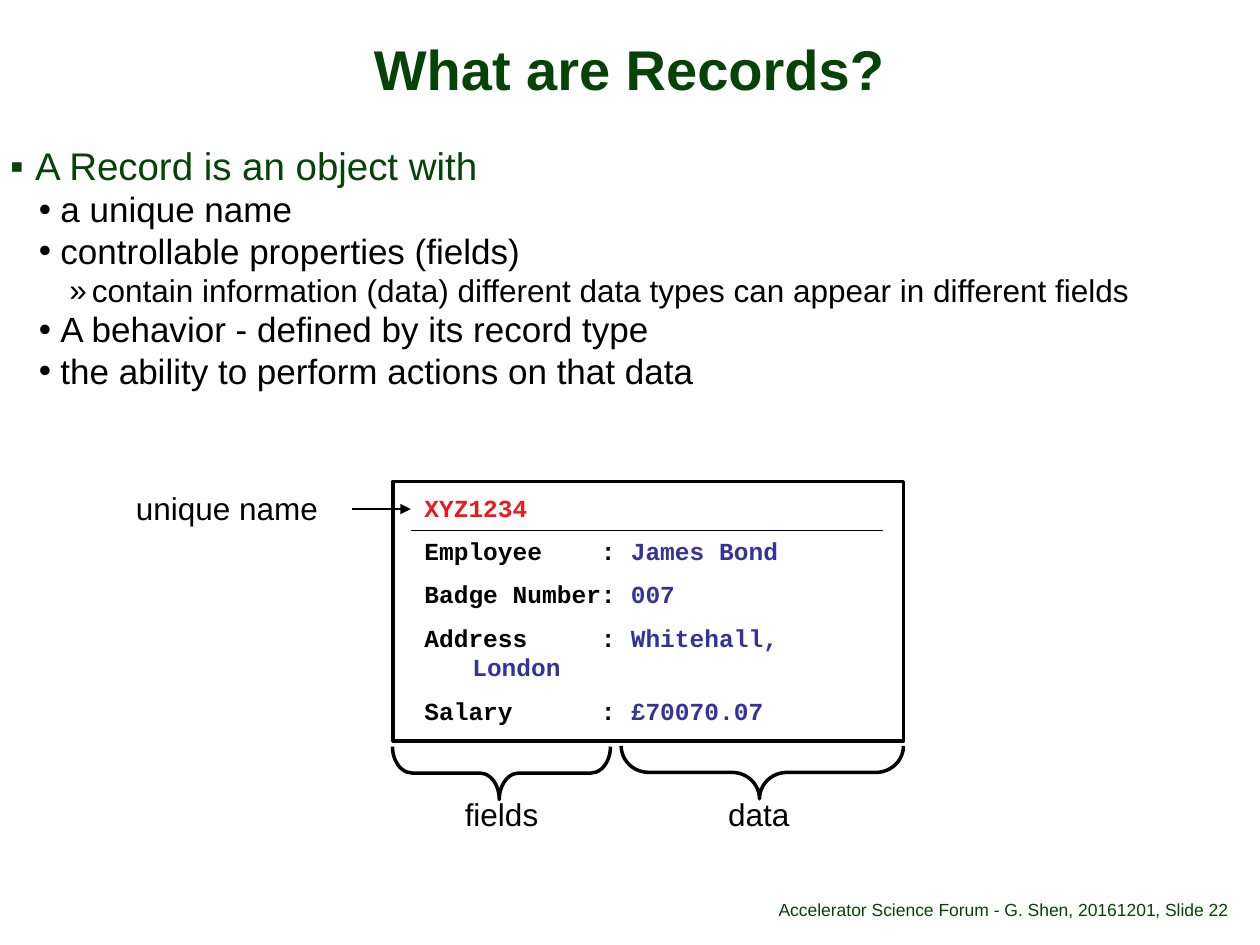
from lxml.etree import SubElement
from pptx import Presentation
from pptx.dml.color import RGBColor
from pptx.enum.shapes import MSO_CONNECTOR, MSO_SHAPE
from pptx.enum.text import MSO_ANCHOR, MSO_AUTO_SIZE, PP_ALIGN
from pptx.oxml.ns import qn
from pptx.util import Inches, Pt

GREEN = RGBColor(0x06, 0x43, 0x08)
BLACK = RGBColor(0x00, 0x00, 0x00)
RED = RGBColor(0xED, 0x18, 0x1E)
BLUE = RGBColor(0x33, 0x33, 0x99)


def add_text_frame(left, top, width, height, inset_x=0.1, inset_y=0.05, wrap=True):
    frame = slide.shapes.add_textbox(
        Inches(left), Inches(top), Inches(width), Inches(height)).text_frame
    frame.word_wrap = wrap
    frame.margin_left = frame.margin_right = Inches(inset_x)
    frame.margin_top = frame.margin_bottom = Inches(inset_y)
    return frame


def set_font(paragraph, size, color=None, name="Arial", bold=False):
    paragraph.font.size = Pt(size)
    paragraph.font.name = name
    paragraph.font.bold = bold
    if color is not None:
        paragraph.font.color.rgb = color


prs = Presentation()
prs.slide_width, prs.slide_height = Inches(10), Inches(7.5)
slide = prs.slides.add_slide(prs.slide_layouts[5])

# Title
title = slide.shapes.title
title.left, title.top = Inches(0.08), Inches(0.31)
title.width, title.height = Inches(9.83), Inches(0.53)
heading = title.text_frame
heading.text = "What are Records?"
heading.vertical_anchor = MSO_ANCHOR.MIDDLE
heading.margin_left = heading.margin_right = Inches(0.06)
heading.margin_top = heading.margin_bottom = Inches(0.02)
heading.paragraphs[0].alignment = PP_ALIGN.CENTER
heading.paragraphs[0].line_spacing = 0.88
set_font(heading.paragraphs[0], 32, GREEN, bold=True)

# Bulleted outline
# level: bullet, left margin, hanging indent, size, colour
LEVELS = [
    ("▪", 0.2, 0.2, 22, GREEN),
    ("•", 0.4, 0.17, 20, BLACK),
    ("»", 0.65, 0.18, 18, BLACK),
]
OUTLINE = [
    (0, "A Record is an object with"),
    (1, "a unique name"),
    (1, "controllable properties (fields)"),
    (2, "contain information (data) different data types can appear in different fields"),
    (1, "A behavior - defined by its record type"),
    (1, "the ability to perform actions on that data"),
]
outline = add_text_frame(0.08, 1.17, 9.83, 5.5, 0, 0)
for i, (level, text) in enumerate(OUTLINE):
    bullet, margin, hanging, size, color = LEVELS[level]
    point = outline.add_paragraph() if i else outline.paragraphs[0]
    point.text = text
    point.level = level
    point.line_spacing = 0.9
    if i:
        point.space_before = Pt(2)
    props = point._p.get_or_add_pPr()
    props.set("marL", str(Inches(margin)))
    props.set("indent", str(-Inches(hanging)))
    SubElement(props, qn("a:buFont")).set("typeface", "Arial")
    SubElement(props, qn("a:buChar")).set("char", bullet)
    set_font(point, size, color)

# Footer
for left, width, text, align in [
    (4.53, 4.64, "Accelerator Science Forum - G. Shen, 20161201", PP_ALIGN.RIGHT),
    (9.17, 0.83, ", Slide 22", PP_ALIGN.LEFT),
]:
    footer = add_text_frame(left, 6.95, width, 0.4, 0)
    footer.vertical_anchor = MSO_ANCHOR.BOTTOM
    footer.text = text
    footer.paragraphs[0].alignment = align
    footer.paragraphs[0].line_spacing = 0.9
    set_font(footer.paragraphs[0], 10, GREEN)

# Record contents, with the field names padded to one column
NAME_WIDTH = 12
FIELDS = [
    ("Employee", "James Bond"),
    ("Badge Number", "007"),
    ("Address", "Whitehall, London"),
    ("Salary", "£70070.07"),
]
rows = [[("XYZ1234", RED)]]
rows += [[(f"{field:<{NAME_WIDTH}}: ", BLACK), (data, BLUE)] for field, data in FIELDS]
record = add_text_frame(3.27, 3.86, 3.81, 1.82)
for i, row in enumerate(rows):
    entry = record.add_paragraph() if i else record.paragraphs[0]
    entry.space_after = Pt(1.4)
    if i:
        entry.space_before = Pt(6.6)
    props = entry._p.get_or_add_pPr()
    props.set("marL", str(Inches(0.38)))
    props.set("indent", str(-Inches(0.38)))
    set_font(entry, 14, name="Courier New", bold=True)
    for text, color in row:
        run = entry.add_run()
        run.text = text
        run.font.color.rgb = color

# Labels around the record
for left, top, width, text in [
    (0.98, 3.83, 1.66, "unique name"),
    (3.59, 6.26, 0.82, "fields"),
    (5.68, 6.26, 0.72, "data"),
]:
    label = add_text_frame(left, top, width, 0.4, wrap=False)
    label.auto_size = MSO_AUTO_SIZE.SHAPE_TO_FIT_TEXT
    label.text = text
    set_font(label.paragraphs[0], 18, BLACK)

# Divider under the record name, and arrow to it
for start, end, y, weight, has_arrow in [
    (3.26, 7.01, 4.21, 0.75, False),
    (2.79, 3.26, 4.04, 1.5, True),
]:
    line = slide.shapes.add_connector(
        MSO_CONNECTOR.STRAIGHT, Inches(start), Inches(y), Inches(end), Inches(y))
    line.line.color.rgb = BLACK
    line.line.width = Pt(weight)
    if has_arrow:
        SubElement(line.line._get_or_add_ln(), qn("a:tailEnd")).set("type", "triangle")
    SubElement(line._element.spPr, qn("a:effectLst"))

# Record frame, and braces turned to point down at their labels
frame_and_braces = [
    (MSO_SHAPE.RECTANGLE, 3.12, 3.82, 4.05, 2.06, 0, []),
    (MSO_SHAPE.RIGHT_BRACE, 5.84, 5.01, 0.42, 2.24, 90, [0.52, 0.51]),
    (MSO_SHAPE.RIGHT_BRACE, 3.77, 5.27, 0.42, 1.73, 90, [0.37, 0.51]),
]
for kind, left, top, width, height, rotation, adjustments in frame_and_braces:
    outlined = slide.shapes.add_shape(
        kind, Inches(left), Inches(top), Inches(width), Inches(height))
    outlined.rotation = rotation
    for i, value in enumerate(adjustments):
        outlined.adjustments[i] = value
    outlined.shadow.inherit = False
    outlined.fill.background()
    outlined.line.color.rgb = BLACK
    outlined.line.width = Pt(2)

prs.save("out.pptx")
